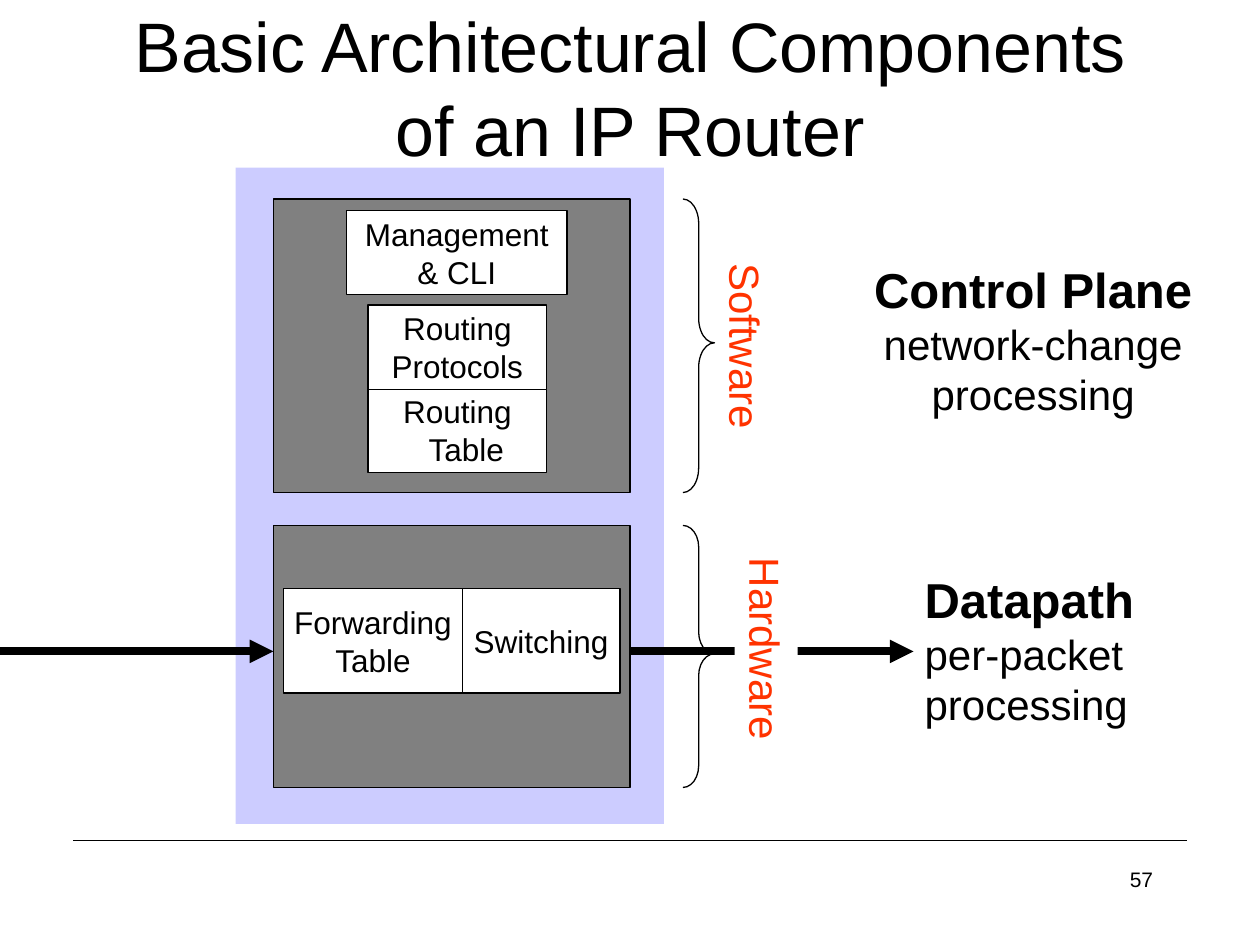
from lxml.etree import SubElement
from pptx import Presentation
from pptx.dml.color import RGBColor
from pptx.enum.shapes import MSO_CONNECTOR as Link, MSO_SHAPE as Shape
from pptx.enum.text import MSO_ANCHOR as Anchor, MSO_AUTO_SIZE as Fit, PP_ALIGN as Align
from pptx.oxml.ns import qn
from pptx.util import Inches, Pt

BLACK, WHITE, GRAY, LILAC, RED = "000000", "FFFFFF", "808080", "CCCCFF", "FF3300"


def paint(color):
    return RGBColor.from_string(color)


class Board:
    font = "Arial"
    thin = 0.75

    def __init__(self, slide):
        self.shapes = slide.shapes

    def label(self, shape, lines, sizes, color=BLACK, align=Align.CENTER,
              anchor=Anchor.TOP, wrap=False, lead=False):
        frame = shape.text_frame
        frame.word_wrap = wrap
        frame.vertical_anchor = anchor
        for i, (line, size) in enumerate(zip(lines, sizes)):
            para = frame.paragraphs[0] if i == 0 else frame.add_paragraph()
            para.text = line
            para.alignment = align
            para.font.name = self.font
            para.font.size = Pt(size)
            para.font.bold = lead and i == 0
            para.font.color.rgb = paint(color)
        return frame

    def shape(self, kind, at, fill=None, line=None):
        item = self.shapes.add_shape(kind, *map(Inches, at))
        item.shadow.inherit = False
        if fill:
            item.fill.solid()
            item.fill.fore_color.rgb = paint(fill)
        else:
            item.fill.background()
        if line:
            item.line.color.rgb = paint(line)
            item.line.width = Pt(self.thin)
        else:
            item.line.fill.background()
        return item

    def block(self, at, *lines):
        item = self.shape(Shape.RECTANGLE, at, WHITE, BLACK)
        return self.label(item, lines, [18] * len(lines), anchor=Anchor.MIDDLE)

    def text(self, at, lines, sizes, **style):
        item = self.shapes.add_textbox(*map(Inches, at))
        return self.label(item, lines, sizes, **style)

    def plane(self, at, lines, align):
        frame = self.text(at, lines, [28, 24, 24], align=align, lead=True)
        frame.auto_size = Fit.SHAPE_TO_FIT_TEXT

    def brace(self, at, bend):
        item = self.shape(Shape.RIGHT_BRACE, at, line=BLACK)
        item.adjustments[0] = bend
        item.adjustments[1] = 0.49

    def side(self, at, word, fill=None):
        item = self.shape(Shape.RECTANGLE, at, fill)
        item.rotation = 90
        frame = self.label(item, [word], [24], RED, Align.LEFT)
        frame.auto_size = Fit.SHAPE_TO_FIT_TEXT

    def line(self, left, right, y, width=thin, arrow=False):
        item = self.shapes.add_connector(
            Link.STRAIGHT, Inches(left), Inches(y), Inches(right), Inches(y))
        item.line.color.rgb = paint(BLACK)
        item.line.width = Pt(width)
        props = item._element.spPr
        if arrow:
            SubElement(props.find(qn("a:ln")), qn("a:tailEnd"), type="triangle")
        SubElement(props, qn("a:effectLst"))


def main():
    deck = Presentation()
    deck.slide_width, deck.slide_height = Inches(10), Inches(7.5)
    board = Board(deck.slides.add_slide(deck.slide_layouts[6]))

    board.line(0.58, 9.42, 6.67)
    board.text((7.17, 6.83, 2.08, 0.5), ["57"], [12], align=Align.RIGHT, wrap=True)
    board.shape(Shape.RECTANGLE, (1.87, 1.33, 3.4, 5.21), LILAC)
    for left, right in ((5, 7.25), (0, 2.17)):
        board.line(left, right, 5.17, 4.5, True)

    parts = ((1.58, 2.33, 0.78), (4.17, 2.08, 0.69))
    for top, height, bend in parts:
        board.shape(Shape.RECTANGLE, (2.17, top, 2.83, height), GRAY, BLACK)

    board.text((0.75, 0.06, 8.5, 1.25),
               ["Basic Architectural Components\vof an IP Router"], [40],
               anchor=Anchor.MIDDLE, wrap=True)
    board.plane((6.82, 2.01, 2.76, 1.38),
                ["Control Plane", "network-change", "processing"], Align.CENTER)
    board.plane((7.24, 4.47, 1.92, 1.38),
                ["Datapath", "per-packet", "processing"], Align.LEFT)

    board.block((3.67, 4.67, 1.25, 0.83), "Switching")
    board.block((2.25, 4.67, 1.42, 0.83), "Forwarding", "Table")
    table = board.block((2.92, 3.08, 1.42, 0.67), "Routing", "Table")
    table.paragraphs[1]._p.get_or_add_pPr().set("marL", str(Inches(0.14)))
    board.block((2.92, 2.42, 1.42, 0.67), "Routing", "Protocols")
    board.block((2.75, 1.67, 1.75, 0.67), "Management", "& CLI")

    for top, height, bend in parts:
        board.brace((5.42, top, 0.25, height), bend)
    board.side((5.15, 2.5, 1.53, 0.51), "Software")
    board.side((5.22, 4.94, 1.72, 0.5), "Hardware", WHITE)

    deck.save("out.pptx")


if __name__ == "__main__":
    main()
